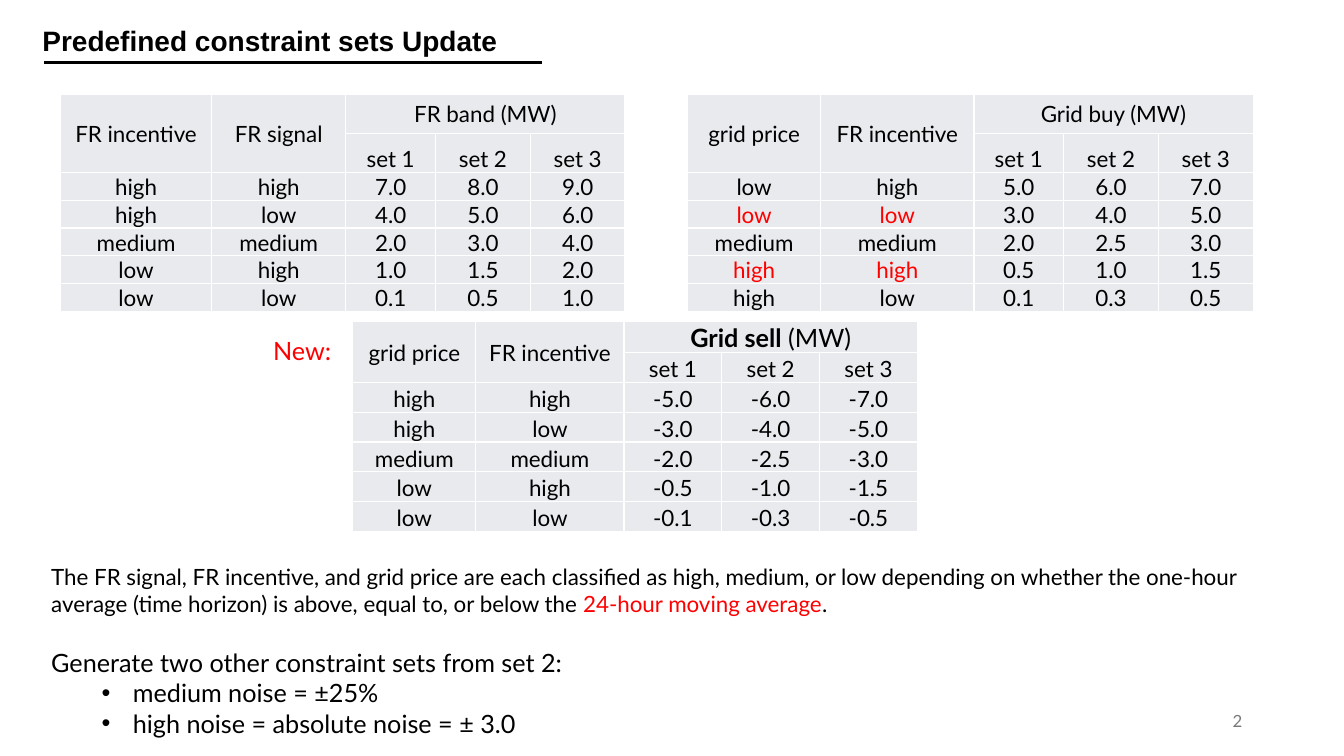
from lxml.etree import SubElement
from pptx import Presentation
from pptx.dml.color import RGBColor
from pptx.enum.shapes import MSO_CONNECTOR as CONN
from pptx.enum.text import MSO_ANCHOR as ANCHOR, MSO_AUTO_SIZE as AUTO, PP_ALIGN as ALIGN
from pptx.oxml.ns import qn
from pptx.util import Inches, Pt

BLACK, WHITE, RED, GREY, CELL = "000000", "FFFFFF", "FF0000", "797979", "E8EAED"
WIDE = (0.13, 0.06, 0.13, 0.06)
TIGHT = (0.01, 0.01, 0.01, 0)
SETS = ["set 1", "set 2", "set 3"]

TITLE = "Predefined constraint sets Update"
TABLES = [
    dict(at=(0.6, 0.94), cols=[1.5, 1.33, 0.89, 0.94, 0.94], row_h=0.27, head_pad=WIDE,
         heads=["FR incentive", "FR signal"], value_anchor=ANCHOR.MIDDLE,
         group=[("FR band (MW)", 16, False)], red_rows=[],
         rows=[["high", "high", "7.0", "8.0", "9.0"],
               ["high", "low", "4.0", "5.0", "6.0"],
               ["medium", "medium", "2.0", "3.0", "4.0"],
               ["low", "high", "1.0", "1.5", "2.0"],
               ["low", "low", "0.1", "0.5", "1.0"]]),
    dict(at=(6.82, 0.94), cols=[1.32, 1.52, 0.89, 0.94, 0.94], row_h=0.27, head_pad=WIDE,
         heads=["grid price", "FR incentive"], value_anchor=ANCHOR.BOTTOM,
         group=[("Grid buy (MW)", 16, False)], red_rows=[1, 3],
         rows=[["low", "high", "5.0", "6.0", "7.0"],
               ["low", "low", "3.0", "4.0", "5.0"],
               ["medium", "medium", "2.0", "2.5", "3.0"],
               ["high", "high", "0.5", "1.0", "1.5"],
               ["high", "low", "0.1", "0.3", "0.5"]]),
    dict(at=(3.5, 3.19), cols=[1.22, 1.47, 0.97, 0.97, 0.97], row_h=0.295, head_pad=TIGHT,
         heads=["grid price", "FR incentive"], value_anchor=ANCHOR.BOTTOM,
         group=[("Grid sell", 18, True), (" (MW)", 18, False)], red_rows=[],
         rows=[["high", "high", "-5.0", "-6.0", "-7.0"],
               ["high", "low", "-3.0", "-4.0", "-5.0"],
               ["medium", "medium", "-2.0", "-2.5", "-3.0"],
               ["low", "high", "-0.5", "-1.0", "-1.5"],
               ["low", "low", "-0.1", "-0.3", "-0.5"]]),
]
CLASSIFIED = [
    ("The FR signal, FR incentive, and grid price are each classified as high, medium, or low "
     "depending on whether the one-hour average (time horizon) is above, equal to, or below the ",
     BLACK),
    ("24-hour moving average", RED),
    (".", BLACK),
]
GENERATE = "Generate two other constraint sets from set 2:"
NOISE = ["medium noise = ±25%", "high noise = absolute noise = ± 3.0"]


def rgb(color):
    return RGBColor.from_string(color)


def add_run(p, text, size, color=BLACK, bold=False, font="Lato"):
    r = p.add_run()
    r.text = text
    r.font.name, r.font.size, r.font.bold = font, Pt(size), bold
    r.font.color.rgb = rgb(color)


def add_text(s, x, y, w, h):
    tf = s.shapes.add_textbox(Inches(x), Inches(y), Inches(w), Inches(h)).text_frame
    tf.word_wrap = True
    return tf


def add_bullet(p):
    p.level = 1
    pPr = p._p.get_or_add_pPr()
    pPr.set("marL", str(Inches(0.81)))
    pPr.set("indent", str(Inches(-0.31)))
    SubElement(pPr, qn("a:buFont"), typeface="Arial")
    SubElement(pPr, qn("a:buChar"), char="•")


def style_cell(cell):
    tcPr = cell._tc.get_or_add_tcPr()
    for side in ("a:lnL", "a:lnR", "a:lnT", "a:lnB"):
        ln = SubElement(tcPr, qn(side), w=str(Pt(1)))
        SubElement(SubElement(ln, qn("a:solidFill")), qn("a:srgbClr"), val=WHITE)
    cell.fill.solid()
    cell.fill.fore_color.rgb = rgb(CELL)


def set_pad(cell, pad):
    (cell.margin_left, cell.margin_top,
     cell.margin_right, cell.margin_bottom) = [Inches(v) for v in pad]


def fill_cell(cell, runs, pad, anchor, color=BLACK):
    set_pad(cell, pad)
    cell.vertical_anchor = anchor
    p = cell.text_frame.paragraphs[0]
    p.alignment = ALIGN.CENTER
    for text, size, bold in runs:
        add_run(p, text, size, color, bold)


def add_constraints(s, at, cols, row_h, head_pad, heads, value_anchor, group, red_rows, rows):
    n_rows = len(rows) + 2
    frame = s.shapes.add_table(n_rows, len(cols), Inches(at[0]), Inches(at[1]),
                               Inches(sum(cols)), Inches(row_h * n_rows))
    table = frame.table
    table.first_row = table.horz_banding = False
    for col, width in zip(table.columns, cols):
        col.width = Inches(width)
    for row in table.rows:
        row.height = Inches(row_h)
    for cell in table.iter_cells():
        style_cell(cell)
    for c, head in enumerate(heads):
        table.cell(0, c).merge(table.cell(1, c))
        fill_cell(table.cell(0, c), [(head, 16, False)], head_pad, ANCHOR.MIDDLE)
        if head_pad is TIGHT:
            set_pad(table.cell(1, c), TIGHT)
    table.cell(0, 2).merge(table.cell(0, 4))
    fill_cell(table.cell(0, 2), group, head_pad, ANCHOR.BOTTOM)
    for c, name in enumerate(SETS, 2):
        fill_cell(table.cell(1, c), [(name, 16, False)], TIGHT, ANCHOR.BOTTOM)
    for i, values in enumerate(rows):
        for c, value in enumerate(values):
            fill_cell(table.cell(i + 2, c), [(value, 16, False)], TIGHT,
                      ANCHOR.BOTTOM if c < 2 else value_anchor,
                      RED if c < 2 and i in red_rows else BLACK)


def main():
    prs = Presentation()
    prs.slide_width, prs.slide_height = Inches(13.33), Inches(7.5)
    s = prs.slides.add_slide(prs.slide_layouts[5])

    title = s.shapes.title
    title.left, title.top = Inches(0.32), Inches(0.18)
    title.width, title.height = Inches(4.93), Inches(0.44)
    tf = title.text_frame
    tf.word_wrap, tf.auto_size, tf.vertical_anchor = True, AUTO.NONE, ANCHOR.TOP
    tf.paragraphs[0].alignment = ALIGN.LEFT
    add_run(tf.paragraphs[0], TITLE, 20, bold=True, font="Arial")

    rule = s.shapes.add_connector(CONN.STRAIGHT, Inches(0.44), Inches(0.62),
                                  Inches(5.38), Inches(0.62))
    rule.line.color.rgb, rule.line.width = rgb(BLACK), Pt(1.5)
    SubElement(rule._element.spPr, qn("a:effectLst"))

    for constraints in TABLES:
        add_constraints(s, **constraints)

    tf = add_text(s, 2.61, 3.28, 1.32, 0.4)
    add_run(tf.paragraphs[0], "New:", 18, RED)

    tf = add_text(s, 0.41, 5.54, 12.17, 2.39)
    for text, color in CLASSIFIED:
        add_run(tf.paragraphs[0], text, 16, color)
    p = tf.add_paragraph()
    p.space_before = Pt(21.6)
    add_run(p, GENERATE, 18)
    for noise in NOISE:
        p = tf.add_paragraph()
        add_bullet(p)
        add_run(p, noise, 18)

    tf = add_text(s, 9.42, 6.95, 3, 0.4)
    tf.vertical_anchor = ANCHOR.MIDDLE
    tf.paragraphs[0].alignment = ALIGN.RIGHT
    add_run(tf.paragraphs[0], "2", 12, GREY)

    prs.save("out.pptx")


if __name__ == "__main__":
    main()
